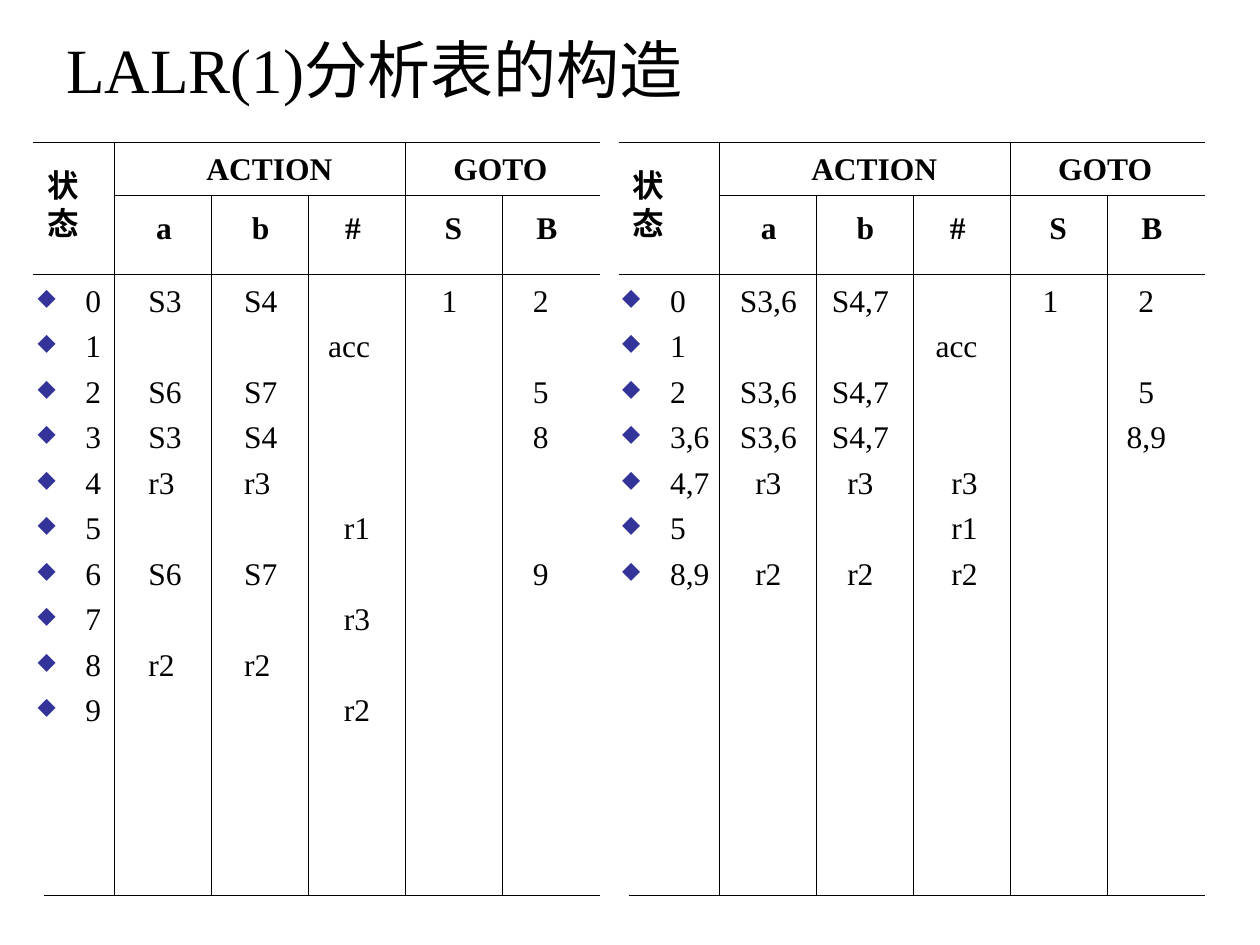
import pptx
import pptx.util
import pptx.dml.color
import pptx.enum.shapes
import pptx.enum.text
import pptx.oxml.ns
from lxml import etree
from pptx.util import Inches

COLORS = {"ink": "000000", "bullet": "333399"}
LATIN = "Times New Roman"
CHINESE = "Noto Sans CJK SC"

TOP, HEADER_SPLIT, HEADER_END, BOTTOM = 1.13, 1.55, 2.18, 7.11
FIRST_COLUMN, COLUMN_WIDTH, RIGHT_EDGE = 0.91, 0.77, 4.76
HEADINGS = [
    ("ACTION", 1.54, 1.13, 1.21),
    ("GOTO", 3.5, 1.13, 0.95),
    ("a", 1.14, 1.6, 0.33),
    ("b", 1.9, 1.6, 0.34),
    ("#", 2.64, 1.6, 0.33),
    ("S", 3.43, 1.6, 0.34),
    ("B", 4.16, 1.6, 0.37),
]

LR_TABLE = {
    "shift": 0, "left": 0.26, "bottom_left": 0.35, "state_left": 0.28,
    "list_left": 0.2, "list_width": 4.57,
    "tabs": [(0.88, "l"), (1.64, "l"), (2.64, "r"), (3.27, "ctr"), (4.02, "ctr")],
    "rows": [
        ("0", "S3", "S4", "", "1", "2"),
        ("1", "", "", "acc"),
        ("2", "S6", "S7", "", "", "5"),
        ("3", "S3", "S4", "", "", "8"),
        ("4", "r3", "r3"),
        ("5", "", "", "r1"),
        ("6", "S6", "S7", "", "", "9"),
        ("7", "", "", "r3"),
        ("8", "r2", "r2"),
        ("9", "", "", "r2"),
    ],
}
LALR_TABLE = {
    "shift": 4.8, "left": 4.91, "bottom_left": 4.99, "state_left": 4.92,
    "list_left": 4.84, "list_width": 4.96,
    "tabs": [(1.16, "ctr"), (1.89, "ctr"), (2.82, "r"), (3.4, "ctr"), (4.16, "ctr")],
    "rows": [
        ("0", "S3,6", "S4,7", "", "1", "2"),
        ("1", "", "", "acc"),
        ("2", "S3,6", "S4,7", "", "", "5"),
        ("3,6", "S3,6", "S4,7", "", "", "8,9"),
        ("4,7", "r3", "r3", "r3"),
        ("5", "", "", "r1"),
        ("8,9", "r2", "r2", "r2"),
    ],
}


def add_element(parent, tag, **attributes):
    return etree.SubElement(parent, pptx.oxml.ns.qn(tag), attributes)


class SlideBuilder:
    def __init__(self, page):
        self.page = page

    def color(self, name):
        return pptx.dml.color.RGBColor.from_string(COLORS[name])

    def style(self, font, size, bold=False, name=LATIN):
        font.size = pptx.util.Pt(size)
        font.bold = bold
        font.name = name
        font.color.rgb = self.color("ink")

    def use_chinese(self, span):
        span.font.name = CHINESE
        add_element(span.font._element, "a:ea", typeface=CHINESE)

    def frame(self, left, top, width, height, wrap=True):
        box = self.page.shapes.add_textbox(
            Inches(left), Inches(top), Inches(width), Inches(height))
        box.text_frame.word_wrap = wrap
        return box.text_frame

    def title(self):
        frame = self.frame(0.43, 0.18, 7.16, 0.73)
        frame.vertical_anchor = pptx.enum.text.MSO_ANCHOR.MIDDLE
        para = frame.paragraphs[0]
        for text, name in (("LALR(1)", LATIN), ("分析表的构造", CHINESE)):
            span = para.add_run()
            span.text = text
            self.style(span.font, 36, name=name)
            if name == CHINESE:
                self.use_chinese(span)

    def line(self, x1, y1, x2, y2):
        line = self.page.shapes.add_connector(
            pptx.enum.shapes.MSO_CONNECTOR.STRAIGHT,
            Inches(x1), Inches(y1), Inches(x2), Inches(y2))
        line.line.color.rgb = self.color("ink")
        line.line.width = pptx.util.Pt(0.75)
        add_element(line._element.spPr, "a:effectLst")

    def heading(self, text, left, top, width):
        frame = self.frame(left, top, width, 0.4, wrap=False)
        para = frame.paragraphs[0]
        para.text = text
        self.style(para.font, 18, bold=True)

    def state_heading(self, left):
        frame = self.frame(left, 1.27, 0.46, 0.71, wrap=False)
        for index, text in enumerate("状态"):
            para = frame.add_paragraph() if index else frame.paragraphs[0]
            span = para.add_run()
            span.text = text
            self.style(para.font, 18, bold=True, name=CHINESE)
            self.use_chinese(span)

    def state_rows(self, left, width, tabs, rows):
        frame = self.frame(left, HEADER_END, width, BOTTOM - HEADER_END)
        for index, row in enumerate(rows):
            para = frame.add_paragraph() if index else frame.paragraphs[0]
            para.text = "\t".join(row)
            props = para._p.get_or_add_pPr()
            props.set("marL", str(Inches(0.38)))
            props.set("indent", str(Inches(-0.38)))
            bullet_color = add_element(props, "a:buClr")
            add_element(bullet_color, "a:srgbClr", val=COLORS["bullet"])
            add_element(props, "a:buSzPct", val="75000")
            add_element(props, "a:buChar", char="◆")
            tab_list = add_element(props, "a:tabLst")
            for position, align in tabs:
                add_element(tab_list, "a:tab", pos=str(Inches(position)), algn=align)
            if index:
                para.space_before = pptx.util.Pt(4.4)
            self.style(para.font, 18)

    def parse_table(self, table):
        shift = table["shift"]
        right = RIGHT_EDGE + shift
        first = FIRST_COLUMN + shift
        for y, left in ((TOP, table["left"]), (HEADER_SPLIT, first),
                        (HEADER_END, table["left"]), (BOTTOM, table["bottom_left"])):
            self.line(left, y, right, y)
        for column in range(5):
            x = first + column * COLUMN_WIDTH
            self.line(x, TOP if column in (0, 3) else HEADER_SPLIT, x, BOTTOM)
        for text, left, top, width in HEADINGS:
            self.heading(text, left + shift, top, width)
        self.state_heading(table["state_left"])
        self.state_rows(table["list_left"], table["list_width"],
                        table["tabs"], table["rows"])


def main():
    deck = pptx.Presentation()
    deck.slide_width, deck.slide_height = Inches(10), Inches(7.5)
    builder = SlideBuilder(deck.slides.add_slide(deck.slide_layouts[6]))
    builder.title()
    for table in (LALR_TABLE, LR_TABLE):
        builder.parse_table(table)
    deck.save("out.pptx")


if __name__ == "__main__":
    main()
